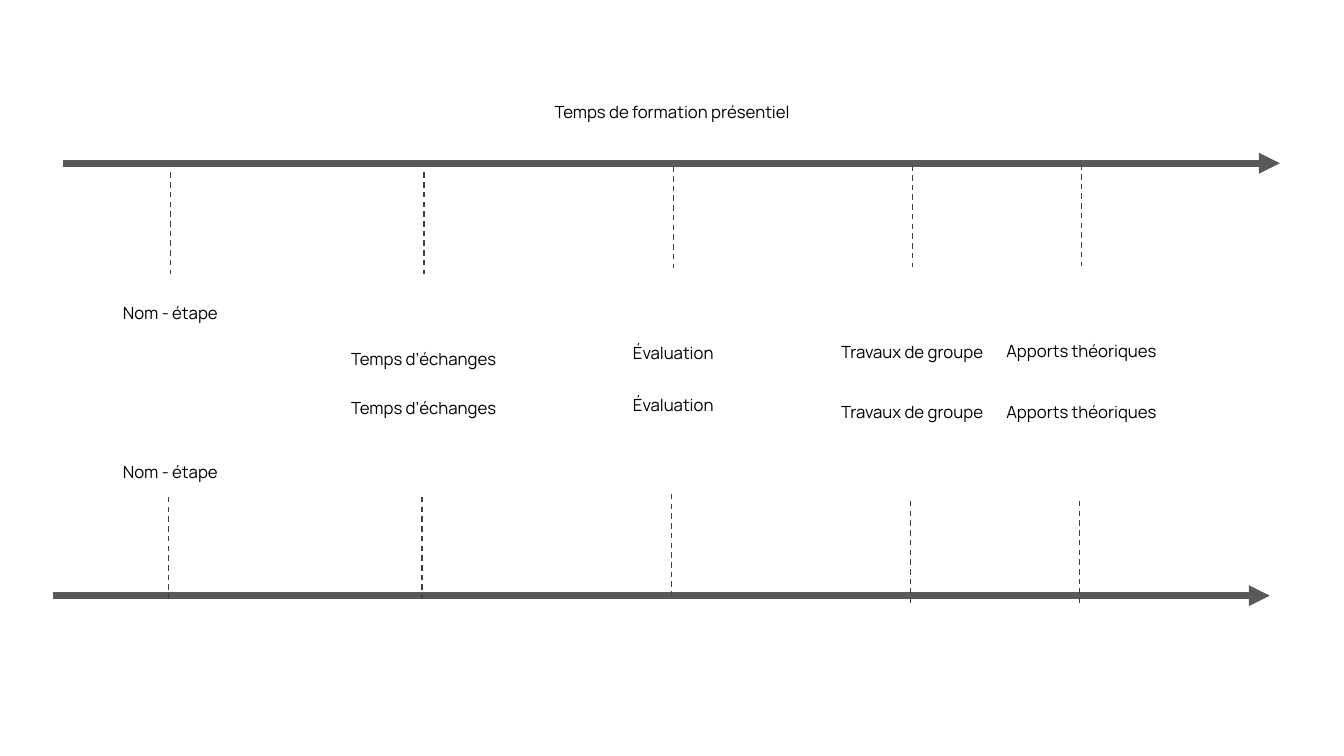
from pptx import Presentation
from pptx.dml.color import RGBColor
from pptx.enum.dml import MSO_LINE
from pptx.enum.shapes import MSO_CONNECTOR
from pptx.enum.text import MSO_ANCHOR, MSO_AUTO_SIZE, PP_ALIGN
from pptx.oxml.ns import qn
from pptx.util import Pt
from lxml.etree import SubElement

BLACK = RGBColor(0x00, 0x00, 0x00)
AXIS_GREY = RGBColor(0x59, 0x59, 0x59)
TICK_GREY = RGBColor(0x3F, 0x3F, 0x3F)
FONT = "Manrope"

TITLE = "Temps de formation présentiel"
AXES = [(45.36, 116.64), (38.16, 425.52)]
AXIS_LENGTH = 868.8
# stage, centre, then (tick top, label top) above and below
STAGES = [
    ("Nom - étape", 121.68, (123.12, 212.4), (354.96, 326.16)),
    ("Temps d’échanges", 302.76, (123.12, 245.52), (354.96, 280.8)),
    ("Évaluation", 480.96, (118.8, 241.2), (352.8, 278.64)),
    ("Travaux de groupe", 651.6, (118.08, 240.48), (357.84, 283.68)),
    ("Apports théoriques", 772.56, (117.36, 239.76), (357.84, 283.68)),
]
TICK_SHIFTS = (0, -1.44)
TICK_LENGTH = 72.72
LABEL_W, LABEL_H = 152.64, 21.6
TITLE_X, TITLE_Y, TITLE_W = 358.56, 69.12, 243.36


def add_line(s, x1, y1, x2, y2, color, width):
    line = s.shapes.add_connector(
        MSO_CONNECTOR.STRAIGHT, Pt(x1), Pt(y1), Pt(x2), Pt(y2))
    line.line.color.rgb = color
    line.line.width = Pt(width)
    SubElement(line._element.spPr, qn("a:effectLst"))
    return line


def add_axis(s, x, y):
    axis = add_line(s, x, y, x + AXIS_LENGTH, y, AXIS_GREY, 5)
    SubElement(axis.line._get_or_add_ln(), qn("a:tailEnd"), type="triangle")


def add_tick(s, x, y):
    tick = add_line(s, x, y, x, y + TICK_LENGTH, TICK_GREY, 1)
    tick.line.dash_style = MSO_LINE.DASH


def write_label(sp, text):
    tf = sp.text_frame
    tf.word_wrap = True
    tf.auto_size = MSO_AUTO_SIZE.NONE
    tf.vertical_anchor = MSO_ANCHOR.TOP
    tf.text = text
    p = tf.paragraphs[0]
    p.alignment = PP_ALIGN.CENTER
    p.font.name = FONT
    p.font.size = Pt(12)
    p.font.color.rgb = BLACK


def main():
    prs = Presentation()
    prs.slide_width, prs.slide_height = Pt(960), Pt(540)
    s = prs.slides.add_slide(prs.slide_layouts[5])

    title = s.shapes.title
    title.left, title.top = Pt(TITLE_X), Pt(TITLE_Y)
    title.width, title.height = Pt(TITLE_W), Pt(LABEL_H)
    write_label(title, TITLE)

    for x, y in AXES:
        add_axis(s, x, y)

    for name, center, *rows in STAGES:
        for (tick_y, label_y), shift in zip(rows, TICK_SHIFTS):
            add_tick(s, center + shift, tick_y)
            label = s.shapes.add_textbox(
                Pt(center - LABEL_W / 2), Pt(label_y), Pt(LABEL_W), Pt(LABEL_H))
            write_label(label, name)

    prs.save("out.pptx")


if __name__ == "__main__":
    main()
